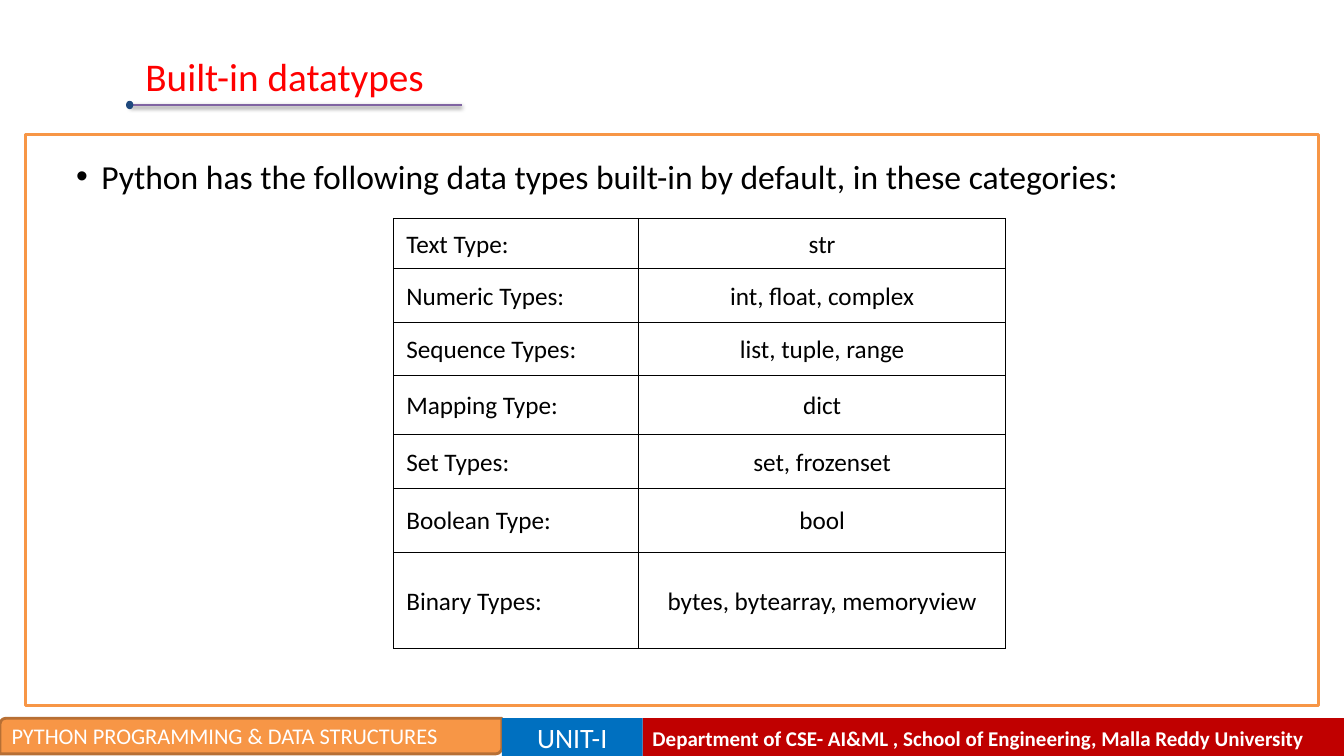
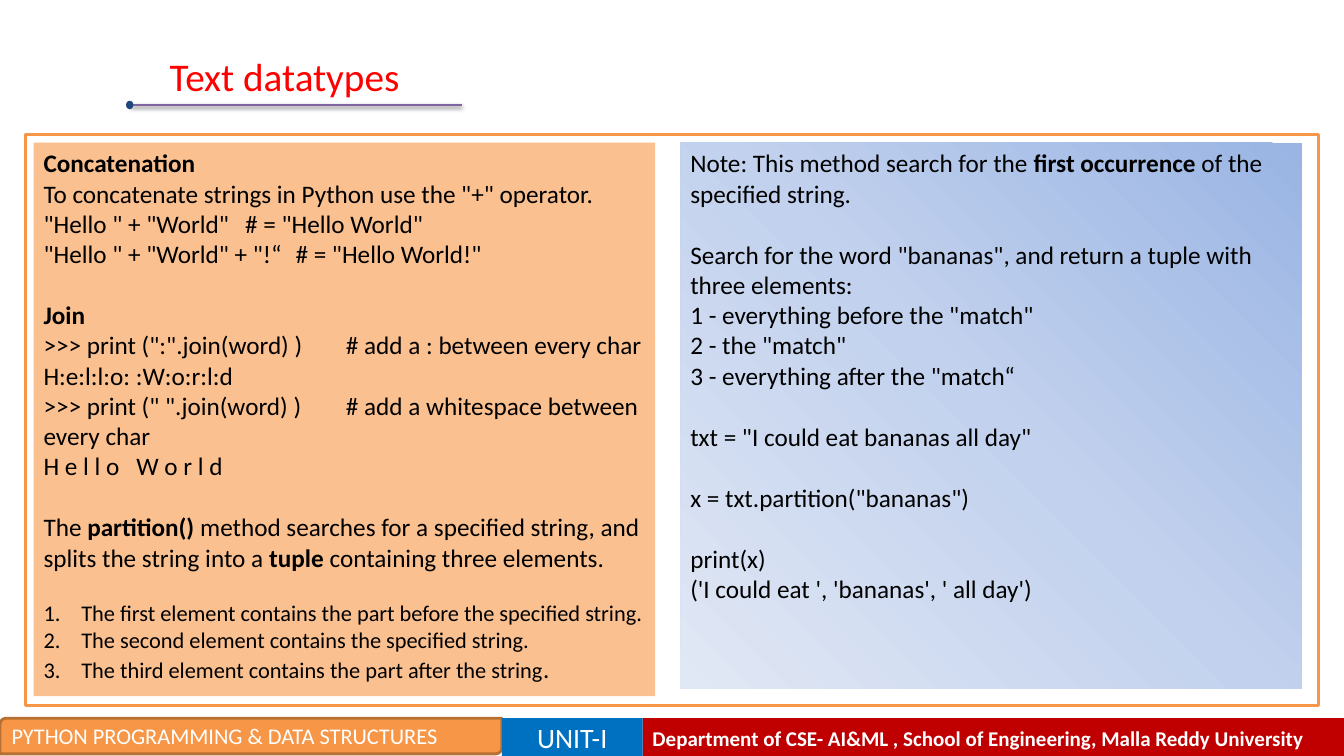
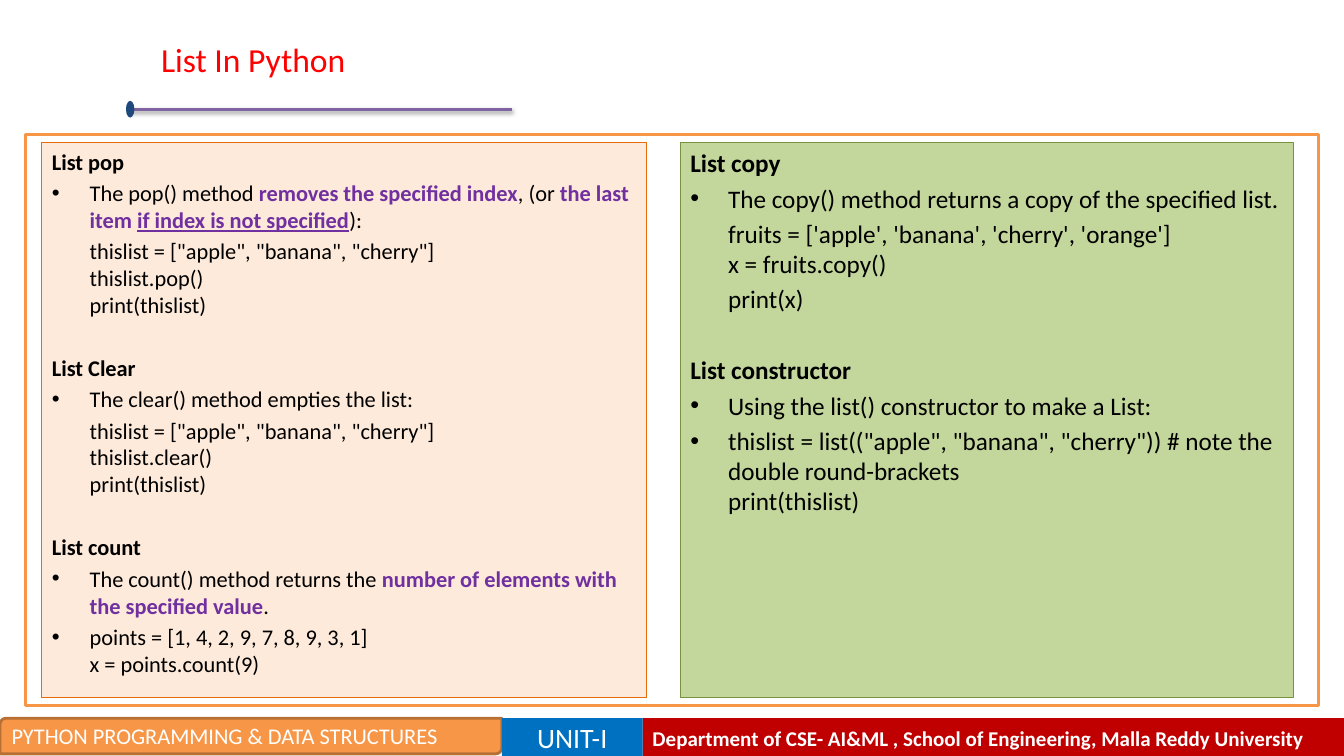
from copy import deepcopy
from lxml import etree
from pptx import Presentation
from pptx import util as u
from pptx.dml.color import RGBColor
from pptx.enum import shapes as sh, text as tx
from pptx.oxml.ns import qn

PX = 9525
FONT = "Calibri"
BLACK = RGBColor(0, 0, 0)
WHITE = RGBColor(255, 255, 255)
RED = RGBColor(0xFF, 0, 0)
CRIMSON = RGBColor(0xC0, 0, 0)
ORANGE = RGBColor(0xF7, 0x96, 0x46)
BROWN = RGBColor(0xB7, 0x6F, 0x34)
BLUE = RGBColor(0, 0x70, 0xC0)
NAVY = RGBColor(0x1F, 0x49, 0x7D)
VIOLET = RGBColor(0x80, 0x64, 0xA2)
PURPLE = RGBColor(0x70, 0x30, 0xA0)
PEACH = RGBColor(0xFA, 0xC0, 0x90)
CREAM = RGBColor(0xFD, 0xEA, 0xDA)
RUST = RGBColor(0xE4, 0x6C, 0x0A)
GREEN = RGBColor(0xC3, 0xD6, 0x9B)
OLIVE = RGBColor(0x77, 0x93, 0x3C)
SKY = [RGBColor(0x9A, 0xB5, 0xE4), RGBColor(0xC2, 0xD1, 0xED), RGBColor(0xE1, 0xE8, 0xF5)]

LEFT, MID = tx.PP_ALIGN.LEFT, tx.PP_ALIGN.CENTER
RECT = sh.MSO_SHAPE.RECTANGLE
DIAG = sh.MSO_SHAPE.ROUND_2_DIAG_RECTANGLE

FOOT = [
    (RECT, (612, 684, 668, 38), CRIMSON, None, LEFT, 15, "b",
     "Department of CSE- AI&ML , School of Engineering, Malla Reddy University"),
    (DIAG, (0, 684, 478, 34), ORANGE, BROWN, LEFT, 16, "",
     "PYTHON PROGRAMMING & DATA STRUCTURES"),
    (RECT, (478, 684, 134, 37), BLUE, None, MID, 20, "", "UNIT-I"),
]
FRAME = (24, 128, 1232, 544)
HEAD = dict(box=(39, 40, 464, 64), size=28, align=MID, end=440, dot=(120, 96, 7, 8))
SIDE = dict(box=(144, 24, 608, 64), size=24, align=LEFT, end=488, dot=(120, 96, 8, 16))

INTRO = [("dot", 0, "Python has the following data types built-in by default, in these categories:")]
TYPES = [
    ("Text Type:", "str", 48),
    ("Numeric Types:", "int, float, complex", 51),
    ("Sequence Types:", "list, tuple, range", 51),
    ("Mapping Type:", "dict", 56),
    ("Set Types:", "set, frozenset", 51),
    ("Boolean Type:", "bool", 61),
    ("Binary Types:", "bytes, bytearray, memoryview", 92),
]
COLS = (233, 350)

JOIN = [
    ("plain", 0, [("Concatenation", "b")]),
    ("plain", 0, "To concatenate strings in Python use the \"+\" operator."),
    ("tab", 0, "\"Hello \" + \"World\"\t# = \"Hello World\""),
    ("tab", 0, "\"Hello \" + \"World\" + \"!“\t# = \"Hello World!\""),
    ("plain", 22, [("Join", "b")]),
    ("wide", 0, ">>> print (\":\".join(word) )\t# add a : between every char"),
    ("plain", 0, "H:e:l:l:o: :W:o:r:l:d"),
    ("wide", 0, ">>> print (\" \".join(word) )\t# add a whitespace between every char"),
    ("plain", 0, "H e l l o   W o r l d"),
    ("plain", 22, [("The ", ""), ("partition()", "b"),
                   (" method searches for a specified string, and splits the string into a ", ""),
                   ("tuple ", "b"), ("containing three elements.", "")]),
    ("num", 19.5, [("The first element contains the part before the specified string.", "s")]),
    ("num", 0, [("The second element contains the specified string.", "s")]),
    ("num", 0, [("The third element contains the part after the string", "s"), (".", "")]),
]
PART = [
    ("plain", 0, [("Note: This method search for the ", ""), ("first occurrence ", "b"),
                  ("of the specified string.", "")]),
    ("plain", 22, "Search for the word \"bananas\", and return a tuple with three elements:"),
    ("plain", 0, "1 - everything before the \"match\"\n2 - the \"match\"\n3 - everything after the \"match“"),
    ("plain", 22, "txt = \"I could eat bananas all day\""),
    ("plain", 22, "x = txt.partition(\"bananas\")"),
    ("plain", 22, "print(x)"),
    ("plain", 0, "('I could eat ', 'bananas', ' all day')"),
]
POP = [
    ("plain", 0, [("List pop", "b")]),
    ("item", 3.2, [("The pop() method ", ""), ("removes the specified index", "bp"), (", (or ", ""),
                   ("the last item ", "bp"), ("if index is not specified", "bpu"), ("):", "")]),
    ("code", 3.2, "thislist = [\"apple\", \"banana\", \"cherry\"]\nthislist.pop()\nprint(thislist)"),
    ("plain", 25.8, [("List Clear", "b")]),
    ("item", 3.2, "The clear() method empties the list:"),
    ("code", 3.2, "thislist = [\"apple\", \"banana\", \"cherry\"]\nthislist.clear()\nprint(thislist)"),
    ("plain", 25.8, [("List count", "b")]),
    ("item", 3.2, [("The count() method returns the ", ""),
                   ("number of elements with the specified value", "bp"), (".", "")]),
    ("item", 3.2, "points = [1, 4, 2, 9, 7, 8, 9, 3, 1]\nx = points.count(9)"),
]
COPY = [
    ("plain", 0, [("List copy", "b")]),
    ("item", 3.6, "The copy() method returns a copy of the specified list."),
    ("code", 3.6, "fruits = ['apple', 'banana', 'cherry', 'orange']\nx = fruits.copy()"),
    ("code", 3.6, "print(x)"),
    ("plain", 29, [("List constructor", "b")]),
    ("item", 3.6, "Using the list() constructor to make a List:"),
    ("item", 3.6, "thislist = list((\"apple\", \"banana\", \"cherry\")) # note the double round-brackets\n"
                  "print(thislist)"),
]

DOT = [("buFont", {"typeface": "Arial"}), ("buChar", {"char": "•"})]
NUM = [("buFont", {"typeface": "+mj-lt"}), ("buAutoNum", {"type": "arabicPeriod"})]
KINDS = {
    "plain": (0, 0, [], 0), "tab": (0, 0, [], 248), "wide": (0, 0, [], 263),
    "code": (36, 0, [], 0), "item": (36, -36, DOT, 0), "num": (36, -36, NUM, 0),
    "dot": (48, -24, DOT, 0),
}


def px(*vals):
    return [u.Emu(v * PX) for v in vals]


def node(up, tag, **att):
    el = etree.SubElement(up, qn("a:" + tag))
    for key, val in att.items():
        el.set(key, str(val))
    return el


def put(par, runs, size, color=BLACK):
    for words, style in [(runs, "")] if isinstance(runs, str) else runs:
        for n, line in enumerate(words.split("\n")):
            if n:
                par.add_line_break()
            run = par.add_run()
            run.text = line
            font = run.font
            font.name = FONT
            font.size = u.Pt(16 if "s" in style else size)
            font.bold = "b" in style
            font.underline = "u" in style
            font.color.rgb = PURPLE if "p" in style else color


def write(frame, rows, size):
    frame.word_wrap = True
    frame.vertical_anchor = tx.MSO_ANCHOR.TOP
    for n, (kind, gap, runs) in enumerate(rows):
        par = frame.add_paragraph() if n else frame.paragraphs[0]
        par.alignment = LEFT
        if gap:
            par.space_before = u.Pt(gap)
        left, hang, marks, stop = KINDS[kind]
        ppr = par._p.get_or_add_pPr()
        ppr.set("marL", str(left * PX))
        ppr.set("indent", str(hang * PX))
        for tag, att in marks:
            node(ppr, tag, **att)
        if stop:
            node(node(ppr, "tabLst"), "tab", pos=stop * PX, algn="l")
        put(par, runs, size)


def block(page, form, box, fill=None, edge=None, width=2):
    part = page.shapes.add_shape(form, *px(*box))
    part.shadow.inherit = False
    if fill is None:
        part.fill.background()
    elif isinstance(fill, list):
        part.fill.gradient()
        part.fill.gradient_angle = 225
        stops = part._element.spPr.find(".//" + qn("a:gsLst"))
        stops.append(deepcopy(stops[0]))
        for n, stop in enumerate(part.fill.gradient_stops):
            stop.color.rgb = fill[n]
            stop.position = n / 2
    else:
        part.fill.solid()
        part.fill.fore_color.rgb = fill
    if edge is None:
        part.line.fill.background()
    else:
        part.line.color.rgb = edge
        part.line.width = u.Pt(width)
    return part


def label(part, words, size, color, align, style=""):
    frame = part.text_frame
    frame.word_wrap = True
    frame.vertical_anchor = tx.MSO_ANCHOR.MIDDLE
    par = frame.paragraphs[0]
    par.alignment = align
    put(par, [(words, style)], size, color)


def start(deck, title, look):
    page = deck.slides.add_slide(deck.slide_layouts[6])
    for form, box, fill, edge, align, size, style, words in FOOT:
        label(block(page, form, box, fill, edge), words, size, WHITE, align, style)
    label(page.shapes.add_textbox(*px(*look["box"])), title, look["size"], RED, look["align"])
    x, y, w, h = look["dot"]
    mid = y + h // 2
    rule = page.shapes.add_connector(sh.MSO_CONNECTOR.STRAIGHT, *px(124, mid, look["end"], mid))
    rule.line.color.rgb = VIOLET
    rule.line.width = u.Pt(2)
    glow = node(node(rule._element.spPr, "effectLst"), "outerShdw", blurRad=u.Pt(3.1),
                dist=u.Pt(1.6), dir=5400000, rotWithShape=0)
    node(node(glow, "srgbClr", val="000000"), "alpha", val=38000)
    block(page, sh.MSO_SHAPE.OVAL, look["dot"], NAVY)
    block(page, RECT, FRAME, None, ORANGE)
    return page


def panel(page, box, fill, rows, size, edge=None):
    write(block(page, RECT, box, fill, edge, 0.75).text_frame, rows, size)


def grid(page):
    high = sum(row[2] for row in TYPES)
    table = page.shapes.add_table(len(TYPES), 2, *px(375, 208, sum(COLS), high)).table
    table.first_row = table.horz_banding = False
    for col, wide in zip(table.columns, COLS):
        col.width = u.Emu(wide * PX)
    for r, (name, kinds, tall) in enumerate(TYPES):
        table.rows[r].height = u.Emu(tall * PX)
        for c, (words, align, inset) in enumerate([(name, LEFT, 12), (kinds, MID, 1)]):
            cell = table.cell(r, c)
            cell.margin_left, cell.margin_right, cell.margin_top, cell.margin_bottom = px(inset, 1, 1, 1)
            cell.vertical_anchor = tx.MSO_ANCHOR.MIDDLE
            for tag in ("lnL", "lnR", "lnT", "lnB"):
                edge = node(cell._tc.get_or_add_tcPr(), tag, w=u.Pt(1))
                node(node(edge, "solidFill"), "srgbClr", val=str(BLACK))
            cell.fill.background()
            par = cell.text_frame.paragraphs[0]
            par.alignment = align
            par.line_spacing = 1.07
            put(par, words, 18)


def main():
    deck = Presentation()
    deck.slide_width, deck.slide_height = px(1280, 720)

    page = start(deck, "Built-in datatypes", HEAD)
    write(page.shapes.add_textbox(*px(39, 144, 1176, 48)).text_frame, INTRO, 24)
    grid(page)

    page = start(deck, "Text datatypes", HEAD)
    panel(page, (32, 136, 592, 527), PEACH, JOIN, 18)
    panel(page, (648, 136, 592, 520), SKY, PART, 18)

    page = start(deck, "List In Python", SIDE)
    panel(page, (40, 136, 576, 528), CREAM, POP, 16, RUST)
    panel(page, (648, 136, 584, 528), GREEN, COPY, 18, OLIVE)

    deck.save("out.pptx")


if __name__ == "__main__":
    main()
